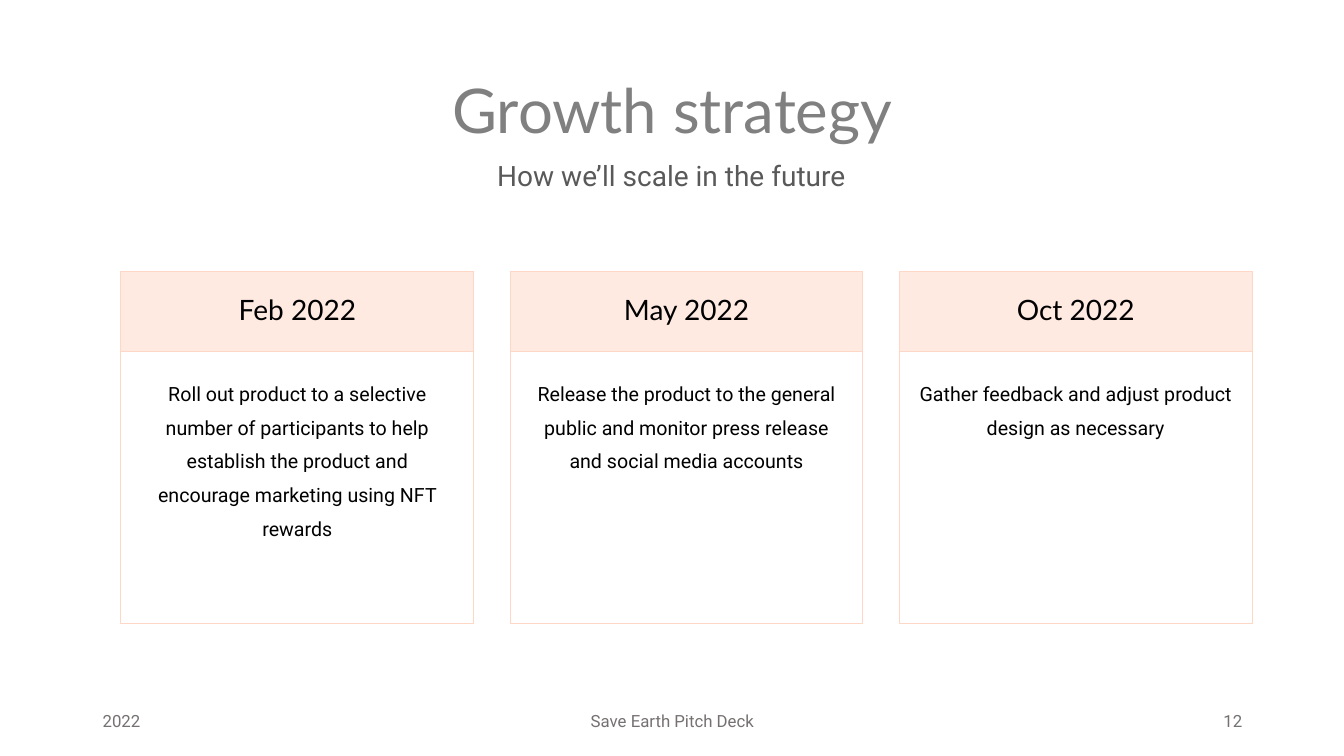
from lxml import etree
from pptx import Presentation, util as u
from pptx.dml.color import RGBColor
from pptx.enum import shapes, text
from pptx.oxml.ns import qn

ALIGN = {"left": text.PP_ALIGN.LEFT, "center": text.PP_ALIGN.CENTER, "right": text.PP_ALIGN.RIGHT}
ANCHOR = {"top": text.MSO_ANCHOR.TOP, "middle": text.MSO_ANCHOR.MIDDLE, "bottom": text.MSO_ANCHOR.BOTTOM}


def color(hex_value):
    return RGBColor.from_string(hex_value)


def write(shape, words, font="Roboto", size=12, ink="000000", align="center",
          anchor="top", spacing=None, insets=(0.1, 0.05, 0.1, 0.05)):
    frame = shape.text_frame
    frame.word_wrap = True
    frame.vertical_anchor = ANCHOR[anchor]
    (frame.margin_left, frame.margin_top,
     frame.margin_right, frame.margin_bottom) = map(u.Inches, insets)
    paragraph = frame.paragraphs[0]
    paragraph.alignment = ALIGN[align]
    if spacing:
        paragraph.line_spacing = spacing
    run = paragraph.add_run()
    run.text = words
    run.font.name = font
    run.font.size = u.Pt(size)
    run.font.color.rgb = color(ink)


class Deck:
    heading_font = "Lato"
    accent = "FFD7C7"
    footer_ink = "767171"

    def __init__(self, width, height):
        self.file = Presentation()
        self.file.slide_width = u.Inches(width)
        self.file.slide_height = u.Inches(height)
        self.slide = self.file.slides.add_slide(self.file.slide_layouts[6])

    def label(self, box, words, **style):
        label = self.slide.shapes.add_textbox(*map(u.Inches, box))
        write(label, words, **style)

    def panel(self, box, words, opacity=None, **style):
        panel = self.slide.shapes.add_shape(shapes.MSO_SHAPE.RECTANGLE, *map(u.Inches, box))
        panel.shadow.inherit = False
        panel.line.color.rgb = color(self.accent)
        panel.line.width = u.Pt(0.75)
        if opacity is None:
            panel.fill.background()
        else:
            panel.fill.solid()
            panel.fill.fore_color.rgb = color(self.accent)
            tint = panel.fill._xPr.find(qn("a:solidFill"))[0]
            etree.SubElement(tint, qn("a:alpha"), val=str(opacity * 1000))
        write(panel, words, **style)

    def milestone(self, left, date, plan):
        width, top, header_height = 3.5, 2.69, 0.8
        self.panel((left, top, width, header_height), date, opacity=50,
                   font=self.heading_font, size=20, anchor="middle", spacing=0.9)
        self.panel((left, top + header_height, width, 2.7), plan, size=14,
                   spacing=u.Pt(24), insets=(0.2, 0.2, 0.2, 0.05))

    def footer(self, left, width, words, align):
        self.label((left, 6.95, width, 0.4), words, ink=self.footer_ink,
                   align=align, anchor="middle")


def main():
    deck = Deck(13.33, 7.5)

    # Title and subtitle
    deck.label((0.92, 0.4, 11.5, 1.16), "Growth strategy", font=deck.heading_font, size=44,
               ink="808080", anchor="bottom", spacing=0.9, insets=(0.1, 0.05, 0.1, 0.1))
    deck.label((0.91, 1.56, 11.5, 0.5), "How we’ll scale in the future", size=20,
               ink="595959", spacing=0.9)

    # Milestones
    milestones = [
        ("Feb 2022", "Roll out product to a selective number of participants to help "
                     "establish the product and encourage marketing using NFT rewards"),
        ("May 2022", "Release the product to the general public and monitor press release "
                     "and social media accounts"),
        ("Oct 2022", "Gather feedback and adjust product design as necessary"),
    ]
    for column, (date, plan) in enumerate(milestones):
        deck.milestone(1.2 + 3.86 * column, date, plan)

    # Footer
    deck.footer(0.92, 3, "2022", "left")
    deck.footer(4.42, 4.5, "Save Earth Pitch Deck", "center")
    deck.footer(9.42, 3, "12", "right")

    deck.file.save("out.pptx")


if __name__ == "__main__":
    main()
